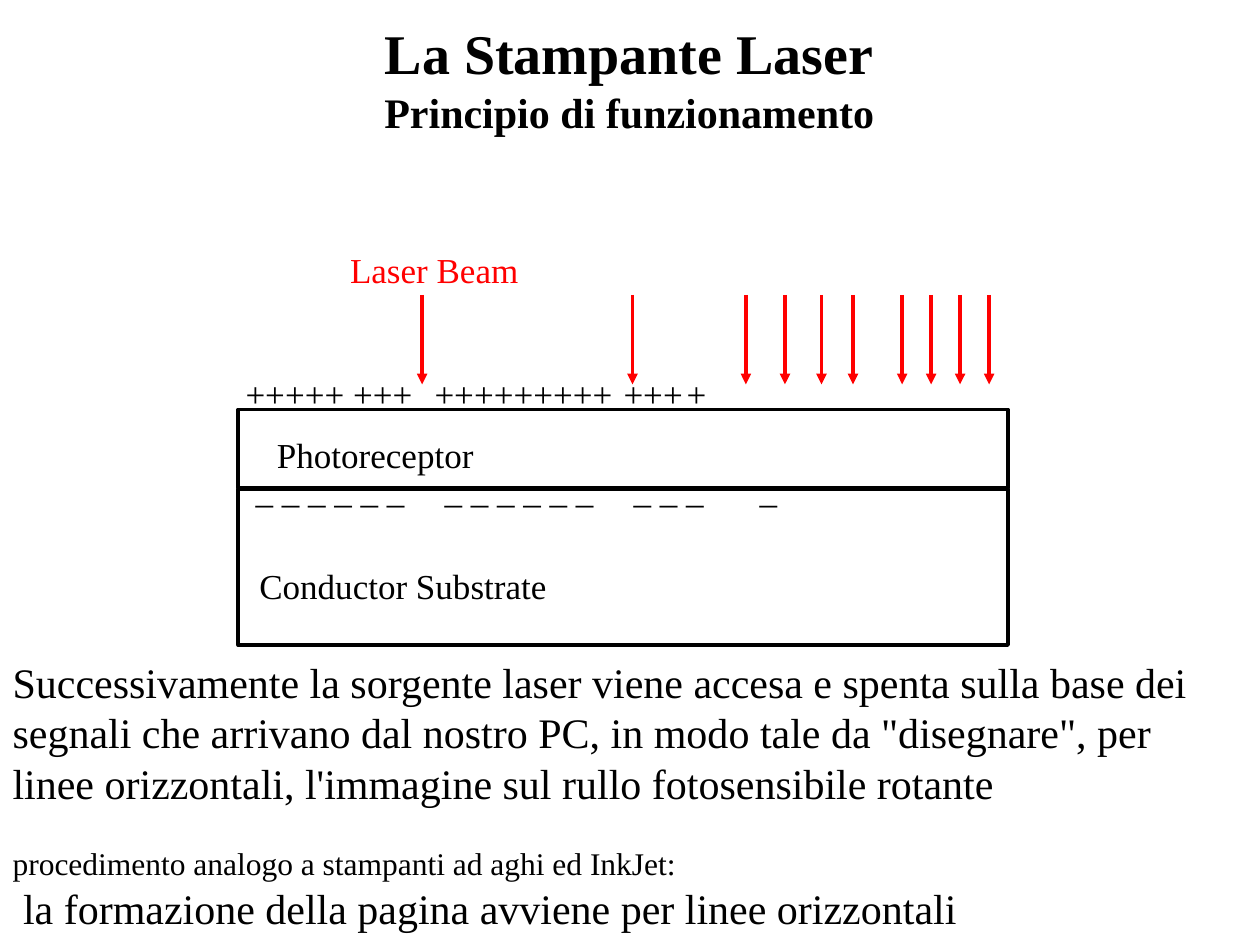
from typing import NamedTuple

from lxml import etree
from pptx import Presentation, util as u
from pptx.dml.color import RGBColor
from pptx.enum import shapes, text
from pptx.oxml.ns import qn

# Grid: 100 columns by 75 rows
WIDTH, HEIGHT = u.Inches(10), u.Inches(7.5)
COL, ROW = WIDTH / 100, HEIGHT / 75
FONT, BLACK, WHITE, RED = "Times New Roman", "000000", "FFFFFF", "FF0000"
BEAM_TOP, BEAM_LENGTH = 23.4, 7.1


class Area(NamedTuple):
    col: float
    row: float
    cols: float
    rows: float

    def emu(self) -> tuple:
        return (round(self.col * COL), round(self.row * ROW),
                round(self.cols * COL), round(self.rows * ROW))


class Line(NamedTuple):
    words: str
    size: int = 20
    color: str = BLACK
    bold: bool = False
    tabs: tuple = ()  # stops in columns from the text's left edge


class Label(NamedTuple):
    area: Area
    line: Line


LAYERS = [Area(18.9, 32.5, 61.1, 6.2), Area(18.9, 38.8, 61.1, 12.4)]
LABELS = [
    Label(Area(21, 33.9, 32.6, 3.5), Line("Photoreceptor")),
    Label(Area(19.6, 44.3, 51.3, 5.5), Line("Conductor Substrate")),
    Label(Area(18.5, 29.1, 62.8, 4.8),
          Line("+++++ +++\t+++++++++\t+++\t+", tabs=(15.3, 32.2, 49.4))),
    Label(Area(19.3, 36.7, 62.2, 4.8),
          Line("_ _ _ _ _ _\t_ _ _ _ _ _\t_ _ _\t_", tabs=(15.2, 31.2, 48.5))),
]
BEAM_LABEL = Label(Area(26.8, 19.2, 22.2, 5), Line("Laser Beam", color=RED))
BEAMS = [33.5, 50.2, 59.2, 62.3, 65.2, 67.7, 71.6, 73.9, 76.2, 78.5]


def rgb(value: str) -> RGBColor:
    return RGBColor.from_string(value)


def write(tf, lines: list, align=text.PP_ALIGN.LEFT, anchor=text.MSO_ANCHOR.TOP) -> None:
    tf.word_wrap = True
    tf.auto_size = text.MSO_AUTO_SIZE.NONE
    tf.vertical_anchor = anchor
    for i, line in enumerate(lines):
        p = tf.paragraphs[0] if i == 0 else tf.add_paragraph()
        pPr = p._p.get_or_add_pPr()
        pPr.set("marL", "0")
        pPr.set("indent", "0")
        etree.SubElement(pPr, qn("a:buNone"))
        if line.tabs:
            stops = etree.SubElement(pPr, qn("a:tabLst"))
            for stop in line.tabs:
                etree.SubElement(stops, qn("a:tab"), pos=str(round(stop * COL)), algn="l")
        p.alignment = align
        p.space_before = u.Pt(0)
        r = p.add_run()
        r.text = line.words
        r.font.name, r.font.size, r.font.bold = FONT, u.Pt(line.size), line.bold
        r.font.color.rgb = rgb(line.color)


def fill_placeholder(sp, area: Area, lines: list, **style) -> None:
    sp.left, sp.top, sp.width, sp.height = area.emu()
    write(sp.text_frame, lines, **style)


def add_layer(parent, area: Area) -> None:
    sp = parent.add_shape(shapes.MSO_SHAPE.RECTANGLE, *area.emu())
    sp.shadow.inherit = False
    sp.fill.solid()
    sp.fill.fore_color.rgb = rgb(WHITE)
    sp.line.color.rgb = rgb(BLACK)
    sp.line.width = u.Pt(2)


def add_label(parent, label: Label) -> None:
    write(parent.add_textbox(*label.area.emu()).text_frame, [label.line])


def add_beam(parent, col: float) -> None:
    x, top, _, length = Area(col, BEAM_TOP, 0, BEAM_LENGTH).emu()
    beam = parent.add_connector(shapes.MSO_CONNECTOR.STRAIGHT, x, top, x, top + length)
    beam.line.color.rgb = rgb(RED)
    beam.line.width = u.Pt(2)
    etree.SubElement(beam.line._get_or_add_ln(), qn("a:tailEnd"), type="triangle")
    etree.SubElement(beam._element.spPr, qn("a:effectLst"))


def main() -> None:
    prs = Presentation()
    prs.slide_width, prs.slide_height = WIDTH, HEIGHT
    s = prs.slides.add_slide(prs.slide_layouts[3])

    # Title and the two explanations
    title, principle, analogy = list(s.placeholders)[:3]
    fill_placeholder(title, Area(28.7, 1, 42.5, 10.4), [
        Line("La Stampante Laser", 32, bold=True),
        Line("Principio di funzionamento", 24, bold=True),
    ], align=text.PP_ALIGN.CENTER)
    fill_placeholder(principle, Area(0, 51.6, 98, 13), [
        Line("Successivamente la sorgente laser viene accesa e spenta sulla base dei "
             "segnali che arrivano dal nostro PC, in modo tale da \"disegnare\", per "
             "linee orizzontali, l'immagine sul rullo fotosensibile rotante", 24),
    ], anchor=text.MSO_ANCHOR.MIDDLE)
    fill_placeholder(analogy, Area(0, 66.5, 100, 8), [
        Line("procedimento analogo a stampanti ad aghi ed InkJet:", 18),
        Line(" la formazione della pagina avviene per linee orizzontali", 24),
    ], anchor=text.MSO_ANCHOR.MIDDLE)

    # Drum layers with their charges
    drum = s.shapes.add_group_shape().shapes
    for layer in LAYERS:
        add_layer(drum, layer)
    for label in LABELS:
        add_label(drum, label)

    # Laser beams
    for col in BEAMS:
        add_beam(s.shapes, col)
    add_label(s.shapes, BEAM_LABEL)

    prs.save("out.pptx")


if __name__ == "__main__":
    main()
